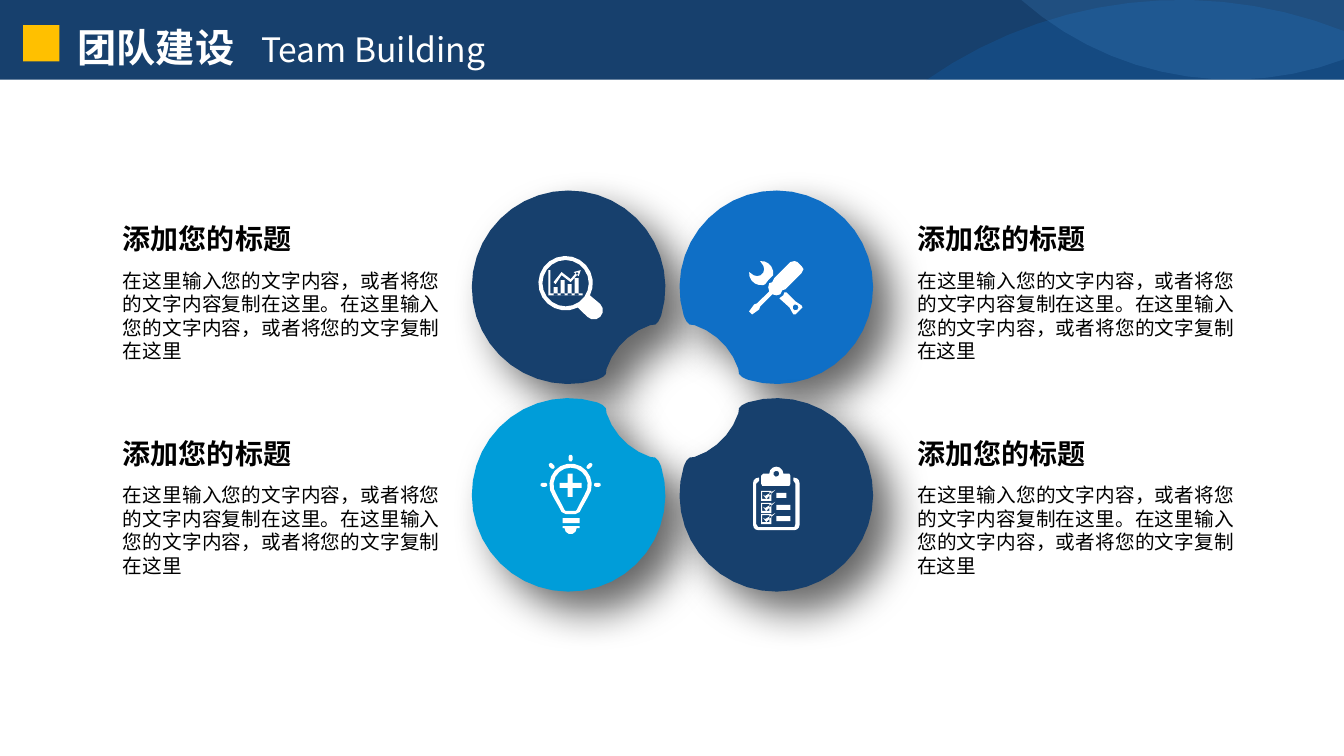
from math import ceil, cos, radians, sin, sqrt

from lxml.etree import SubElement
from pptx import Presentation
from pptx.dml.color import RGBColor
from pptx.enum.shapes import MSO_SHAPE
from pptx.enum.text import MSO_ANCHOR, MSO_AUTO_SIZE, PP_ALIGN
from pptx.oxml.ns import qn
from pptx.util import Inches, Pt

COLORS = {"navy": "17406D", "blue": "0F6FC6", "sky": "009DD9", "pale": "59AAF2",
          "gold": "FFC000", "white": "FFFFFF", "black": "000000"}
FONT = "Noto Sans CJK SC"
HEADING = "添加您的标题"
BODY = "在这里输入您的文字内容，或者将您的文字内容复制在这里。在这里输入您的文字内容，或者将您的文字复制在这里"
WIDTH, BAND = 13.33, 0.79
CENTER = (6.67, 3.88)
PETAL_OFFSET = 1.03


def color(name):
    return RGBColor.from_string(COLORS[name])


def arc(x, y, radius, start=0, stop=360):
    """Points along a circle, closer in angle when it is large; clockwise from the right."""
    count = ceil(abs(stop - start) * sqrt(radius) / 9)
    angles = [radians(start + (stop - start) * step / count) for step in range(count + 1)]
    return [(x + radius * cos(angle), y + radius * sin(angle)) for angle in angles]


def block(left, top, width, height):
    right, bottom = left + width, top + height
    return [(left, top), (right, top), (right, bottom), (left, bottom)]


def paint(shape, fill, alpha=None):
    shape.shadow.inherit = False
    shape.fill.solid()
    shape.fill.fore_color.rgb = color(fill)
    shape.line.fill.background()
    if alpha:
        tint = shape.element.spPr.find(qn("a:solidFill"))[0]
        SubElement(tint, qn("a:alpha"), val=str(alpha * 1000))


def draw_outline(page, contours, fill, origin=(0, 0), alpha=None):
    """Draw closed contours, given relative to origin, as one shape."""
    placed = [[(Inches(origin[0] + x), Inches(origin[1] + y)) for x, y in contour]
              for contour in contours]
    builder = page.shapes.build_freeform(*placed[0][0])
    builder.add_line_segments(placed[0][1:], close=True)
    for contour in placed[1:]:
        builder.move_to(*contour[0])
        builder.add_line_segments(contour[1:], close=True)
    shape = builder.convert_to_shape()
    paint(shape, fill, alpha)
    return shape


def draw_rectangle(page, left, top, width, height, fill):
    shape = page.shapes.add_shape(MSO_SHAPE.RECTANGLE, *map(Inches, (left, top, width, height)))
    paint(shape, fill)


def write(box, spans, align=PP_ALIGN.LEFT, tab=None):
    """Fill a box with one paragraph of (text, size, bold, color) spans."""
    largest = max(size for _, size, _, _ in spans)
    frame = box.text_frame
    frame_format = {"word_wrap": True, "auto_size": MSO_AUTO_SIZE.SHAPE_TO_FIT_TEXT,
                    "vertical_anchor": MSO_ANCHOR.TOP,
                    "margin_top": Inches(0.05 + largest / 1000)}
    for name, value in frame_format.items():
        setattr(frame, name, value)
    para = frame.paragraphs[0]
    para.alignment = align
    para.line_spacing = Pt(largest * 1.2)
    if tab:
        tabs = SubElement(para._p.get_or_add_pPr(), qn("a:tabLst"))
        SubElement(tabs, qn("a:tab"), pos=str(Inches(tab)), algn="l")
    for text, size, bold, tone in spans:
        span = para.add_run()
        span.text = text
        for name, value in {"size": Pt(size), "bold": bold, "name": FONT}.items():
            setattr(span.font, name, value)
        span.font.color.rgb = color(tone)
        SubElement(span._r.get_or_add_rPr(), qn("a:ea"), typeface=FONT)


def add_header(page):
    draw_rectangle(page, 0, 0, WIDTH, BAND, "navy")
    rising = arc(11.71, 4.4, 4.4, 235, 291.6) + [(WIDTH, BAND), (9.19, BAND)]
    draw_outline(page, [rising], "blue", alpha=23)
    hanging = arc(12.22, -2.37, 3.16, 69.4, 131.4) + [(10.13, 0), (WIDTH, 0)]
    draw_outline(page, [hanging], "pale", alpha=15)
    title = page.shapes.title
    title.element.getparent().append(title.element)
    place = {"left": 0.67, "top": 0.15, "width": 7.27, "height": 0.57}
    for name, value in place.items():
        setattr(title, name, Inches(value))
    write(title, [("团队建设\t", 28, True, "white"), ("Team Building", 24, False, "white")],
          tab=1.82)
    draw_rectangle(page, 0.23, 0.25, 0.36, 0.36, "gold")


def add_petal(page, center, side_x, side_y, fill):
    """A disc with a rounded bite on the side facing the middle of the four."""
    corner = [(0.91, 0.3), (0.89, 0.34), (0.86, 0.37)]
    outline = arc(0, 0, 0.96, 73.2, 376.8) + corner
    outline += arc(PETAL_OFFSET, PETAL_OFFSET, 0.69, 251.3, 198.7)
    outline += [(y, x) for x, y in reversed(corner)]
    facing = [(-side_x * x, -side_y * y) for x, y in outline]
    petal = draw_outline(page, [facing], fill, center)
    effects = petal.element.spPr.find(qn("a:effectLst"))
    shadow = SubElement(effects, qn("a:outerShdw"), blurRad=str(Pt(30)), dist=str(Pt(20)),
                        dir="2700000", algn="tl", rotWithShape="0")
    tint = SubElement(shadow, qn("a:srgbClr"), val=COLORS["black"])
    SubElement(tint, qn("a:alpha"), val="60000")


def magnifier():
    glass = arc(-0.03, -0.04, 0.27, 63.4, 386.6) + arc(0.25, 0.23, 0.09, -45, 135)
    trend = [(-0.15, -0.05), (-0.07, -0.15), (0.02, -0.08), (0.08, -0.15),
             (0.1, -0.14), (0.02, -0.05), (-0.07, -0.12), (-0.13, -0.03)]
    arrow = [(0.12, -0.17), (0.1, -0.11), (0.05, -0.15)]
    bars = [block(-0.15 + 0.07 * index, 0.08 - height, 0.04, height)
            for index, height in enumerate((0.08, 0.15, 0.11, 0.17))]
    axes = [block(-0.2, -0.17, 0.02, 0.23), block(-0.2, 0.06, 0.34, 0.02)]
    return [glass, arc(-0.03, -0.04, 0.23), trend, arrow] + bars + axes


def tools():
    handle = [(0.08, 0.05), (0.1, 0.05), (0.19, 0.14), (0.25, 0.18), (0.26, 0.2), (0.19, 0.27),
              (0.17, 0.27), (0.13, 0.2), (0.03, 0.11), (0.07, 0.08)]
    jaw = arc(-0.15, -0.14, 0.12, -95, 10) + [(-0.04, -0.11), (-0.08, -0.07), (-0.11, -0.03)]
    jaw += arc(-0.15, -0.14, 0.12, 80, 185) + arc(-0.19, -0.18, 0.07, 120, -30)
    driver = [(0.25, -0.21), (0.21, -0.25), (0.18, -0.26), (0.14, -0.25), (-0.02, -0.09),
              (-0.04, -0.05), (-0.07, -0.04), (-0.08, 0), (-0.07, 0.04), (-0.19, 0.16),
              (-0.22, 0.17), (-0.27, 0.24), (-0.24, 0.27), (-0.17, 0.22), (-0.16, 0.19),
              (-0.04, 0.07), (0, 0.08), (0.04, 0.07), (0.06, 0.03), (0.09, 0.02),
              (0.25, -0.14), (0.27, -0.18)]
    return [handle, arc(0.19, 0.2, 0.03), jaw, driver]


def bulb():
    neck = [(0.11, 0.13), (0.09, 0.17), (0.05, 0.19)]
    throat = [(0.08, 0.11), (0.06, 0.15), (0.05, 0.16)]
    walls = [arc(0, -0.1, radius, 145, 395) + side + [(-x, y) for x, y in reversed(side)]
             for radius, side in ((0.21, neck), (0.17, throat))]
    plus = [block(-0.03, -0.21, 0.05, 0.23), block(-0.11, -0.12, 0.08, 0.05),
            block(0.02, -0.12, 0.09, 0.05)]
    base = [block(-0.08, 0.23, 0.17, 0.05), block(-0.08, 0.31, 0.17, 0.02),
            arc(0, 0.33, 0.06, 0, 180)]
    rays = []
    for angle in range(180, 361, 45):
        across, down = cos(radians(angle)), sin(radians(angle))
        rays.append(arc(0.28 * across, 0.28 * down - 0.1, 0.02, angle - 90, angle + 90)
                    + arc(0.25 * across, 0.25 * down - 0.1, 0.02, angle + 90, angle + 270))
    return [[(x + 0.02, y) for x, y in contour] for contour in walls + plus + base + rays]


def clipboard():
    board = [(-0.17, -0.17)] + arc(-0.18, -0.12, 0.05, 270, 180) + arc(-0.18, 0.3, 0.05, 180, 90)
    board += arc(0.18, 0.3, 0.05, 90, 0) + arc(0.18, -0.12, 0.05, 0, -90)
    board += [(0.17, -0.17), (0.17, -0.14), (0.19, -0.11), (0.19, 0.29), (0.18, 0.32),
              (-0.18, 0.32), (-0.2, 0.29), (-0.2, -0.11), (-0.17, -0.14)]
    clip = [(-0.14, -0.09), (-0.15, -0.11), (-0.15, -0.19), (-0.13, -0.21)]
    clip += arc(0, -0.21, 0.07, 180, 360) + [(0.13, -0.21), (0.14, -0.19), (0.14, -0.11),
                                             (0.13, -0.09)]
    contours = [board, clip, arc(0, -0.21, 0.03)]
    check = [(-0.13, 0.02), (-0.11, 0.03), (-0.01, -0.03), (-0.1, 0.06)]
    for top, width in ((-0.02, 0.1), (0.1, 0.14), (0.21, 0.14)):
        contours += [block(0, top, width, 0.05), block(-0.15, top - 0.02, 0.1, 0.1),
                     block(-0.14, top - 0.01, 0.07, 0.07), [(x, top + y) for x, y in check]]
    return contours


def add_caption(page, left, top):
    parts = ((0, 0.44, HEADING, 20, True, PP_ALIGN.LEFT),
             (0.47, 1.04, BODY, 14, False, PP_ALIGN.JUSTIFY))
    for offset, height, text, size, bold, align in parts:
        box = page.shapes.add_textbox(*map(Inches, (left, top + offset, 3.34, height)))
        write(box, [(text, size, bold, "black")], align)


def add_team_slide(deck):
    page = deck.slides.add_slide(deck.slide_layouts[5])
    add_header(page)
    petals = ((-1, -1, "navy", magnifier), (-1, 1, "sky", bulb),
              (1, -1, "blue", tools), (1, 1, "navy", clipboard))
    centers = [(CENTER[0] + side_x * PETAL_OFFSET, CENTER[1] + side_y * PETAL_OFFSET)
               for side_x, side_y, _, _ in petals]
    for center, (side_x, side_y, fill, _) in zip(centers, petals):
        add_petal(page, center, side_x, side_y, fill)
    for center, (_, _, _, icon) in zip(centers, petals):
        draw_outline(page, icon(), "white", center)
    for left in (1.12, 9):
        for top in (2.13, 4.26):
            add_caption(page, left, top)


def main():
    deck = Presentation()
    deck.slide_width, deck.slide_height = Inches(WIDTH), Inches(7.5)
    add_team_slide(deck)
    deck.save("out.pptx")


if __name__ == "__main__":
    main()
